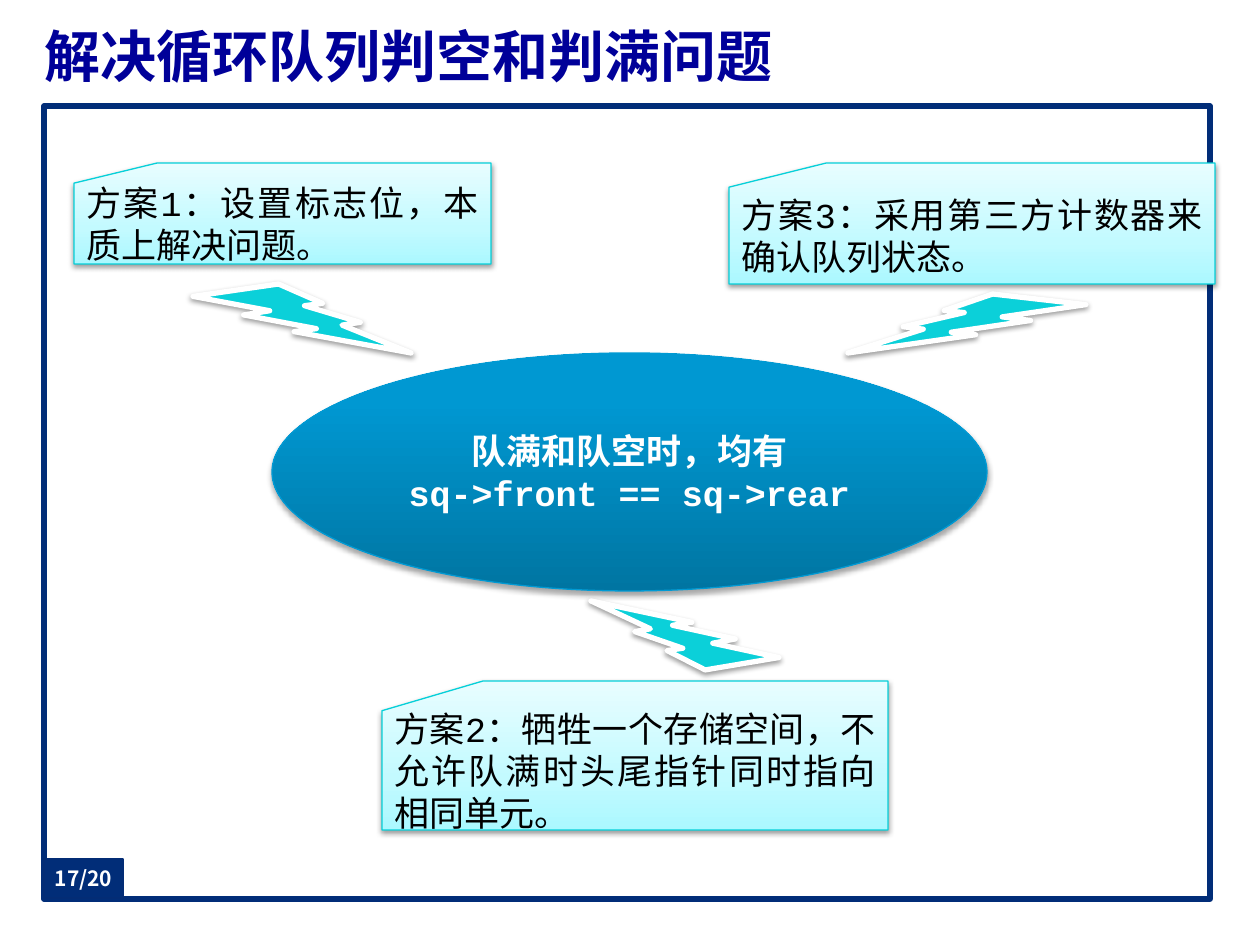
import pptx
import pptx.util
import pptx.dml.color
import pptx.enum.shapes
import pptx.enum.text
import pptx.oxml
import pptx.oxml.ns

SHAPE = pptx.enum.shapes.MSO_SHAPE
ALIGN = pptx.enum.text.PP_ALIGN
PX = 914400 / 126

# Content: boxes are left, top, width, height in px
TITLE = "解决循环队列判空和判满问题"
PAGE = "17/20"
PROBLEM = ["队满和队空时，均有", "sq->front == sq->rear"]
PLANS = [
    ("方案1：设置标志位，本质上解决问题。", (74, 163, 417, 101)),
    ("方案2：牺牲一个存储空间，不允许队满时头尾指针同时指向相同单元。", (382, 681, 506, 149)),
    ("方案3：采用第三方计数器来确认队列状态。", (729, 163, 486, 121)),
]
BOLTS = [  # box, flipped attributes
    ((193, 284, 218, 69), ()),
    ((848, 294, 238, 59), ("flipH",)),
    ((591, 601, 188, 69), ("flipH", "flipV")),
]
NAVY = "012D78"
BLUE_STOPS = [(0, "0075A2"), (80, "0098D2"), (100, "0099D3")]
CYAN_STOPS = [(0, "ABF8FF"), (35, "C3FAFF"), (100, "E8FDFF")]


def px(n):
    return round(n * PX)


def color(value):
    return pptx.dml.color.RGBColor.from_string(value)


def xml(body):
    return pptx.oxml.parse_xml(body.replace(">", " %s>" % pptx.oxml.ns.nsdecls("a"), 1))


def add_shape(kind, box, fill, line, width):
    sp = slide.shapes.add_shape(kind, *map(px, box))
    sp.shadow.inherit = False
    if isinstance(fill, str):
        sp.fill.solid()
        sp.fill.fore_color.rgb = color(fill)
    else:
        sp.fill.gradient()
        sp.fill.gradient_angle = 90
        stops = "".join(
            f'<a:gs pos="{pos * 1000}"><a:srgbClr val="{c}"/></a:gs>' for pos, c in fill)
        old = sp._element.spPr.find(".//" + pptx.oxml.ns.qn("a:gsLst"))
        old.getparent().replace(old, xml(f"<a:gsLst>{stops}</a:gsLst>"))
    sp.line.color.rgb = color(line)
    sp.line.width = pptx.util.Pt(width)
    return sp


def add_shadow(sp, alpha, dist):
    effects = sp._element.spPr.find(pptx.oxml.ns.qn("a:effectLst"))
    shadow = xml("<a:outerShdw><a:srgbClr val=\"000000\">"
                 f'<a:alpha val="{alpha * 1000}"/></a:srgbClr></a:outerShdw>')
    for name, value in (("blurRad", pptx.util.Pt(3.1)), ("dist", pptx.util.Pt(dist)),
                        ("dir", 90 * 60000), ("rotWithShape", 0)):
        shadow.set(name, str(value))
    effects.append(shadow)


def set_text(sp, lines, size, font, fill, align, bold=False, inset=True):
    tf = sp.text_frame
    tf.word_wrap = True
    tf.vertical_anchor = pptx.enum.text.MSO_ANCHOR.MIDDLE
    if not inset:
        tf.margin_left = tf.margin_top = tf.margin_right = tf.margin_bottom = 0
    tf.text = "\n".join(lines)
    for p in tf.paragraphs:
        p.alignment = align
        p.font.size = pptx.util.Pt(size)
        p.font.name = font
        p.font.bold = bold
        p.font.color.rgb = color(fill)


prs = pptx.Presentation()
prs.slide_width, prs.slide_height = px(1260), px(945)
slide = prs.slides.add_slide(prs.slide_layouts[6])

# Frame
add_shape(SHAPE.RECTANGLE, (44, 106, 1166, 793), "FFFFFF", NAVY, 3)

# Problem in the centre
sp = add_shape(SHAPE.OVAL, (272, 353, 715, 238), BLUE_STOPS, "009AD4", 0.75)
add_shadow(sp, 35, 1.8)
set_text(sp, PROBLEM, 20, "Courier New", "FFFFFF", ALIGN.CENTER, bold=True)

# Plans around it
for text, box in PLANS:
    sp = add_shape(SHAPE.FLOWCHART_CARD, box, CYAN_STOPS, "06D0D9", 0.75)
    add_shadow(sp, 38, 1.6)
    set_text(sp, [text], 20, "Courier New", "000000", ALIGN.JUSTIFY)

# Lightning bolts
for box, flips in BOLTS:
    sp = add_shape(SHAPE.LIGHTNING_BOLT, box, "0BD0D9", "FFFFFF", 3)
    add_shadow(sp, 38, 1.6)
    for flip in flips:
        sp._element.spPr.xfrm.set(flip, "1")

# Title and page number
sp = slide.shapes.add_textbox(*map(px, (44, 16, 1166, 78)))
set_text(sp, [TITLE], 32, "Times New Roman", "000099", ALIGN.JUSTIFY, bold=True, inset=False)
sp = add_shape(SHAPE.RECTANGLE, (44, 859, 79, 39), NAVY, "032C75", 0.75)
set_text(sp, [PAGE], 12, "Noto Sans CJK SC", "FFFFFF", ALIGN.CENTER, bold=True, inset=False)

prs.save("out.pptx")
